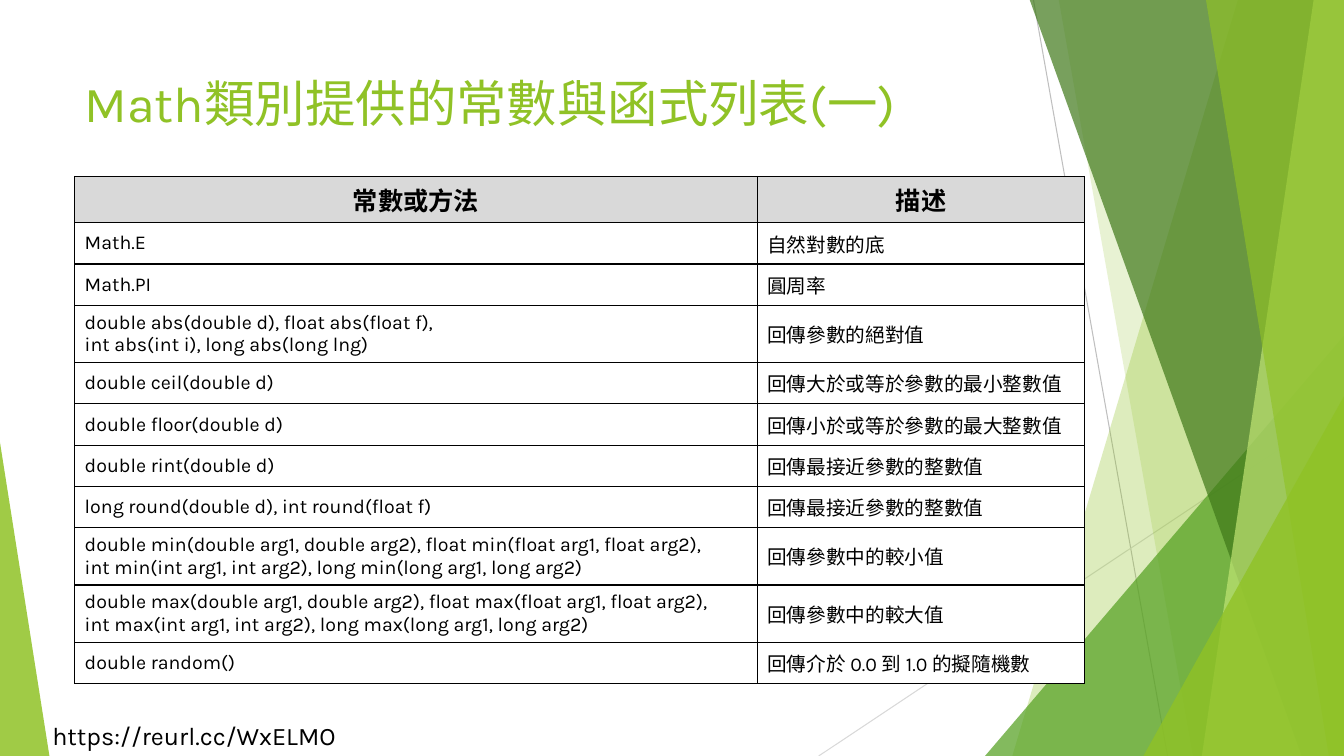
from dataclasses import dataclass

from lxml.etree import SubElement
from pptx import Presentation
from pptx.dml.color import RGBColor
from pptx.enum.shapes import MSO_CONNECTOR, MSO_SHAPE
from pptx.enum.text import MSO_ANCHOR as Anchor, PP_ALIGN as Align
from pptx.oxml.ns import qn
from pptx.util import Pt

PX = 9144  # EMU per px, 100 px to the inch
SLIDE_W, SLIDE_H = 1333, 750


@dataclass(frozen=True)
class Theme:
    font: str = "Karla"
    green: str = "90C226"
    leaf: str = "54A021"
    forest: str = "3F7819"
    lime: str = "C0E474"
    ink: str = "000000"
    paper: str = "FFFFFF"
    header: str = "D9D9D9"
    steep_line: str = "BFBFBF"
    flat_line: str = "D9D9D9"
    title_size: int = 36
    large_size: int = 18
    body_size: int = 14


THEME = Theme()


@dataclass(frozen=True)
class Ray:
    x1: int
    y1: int
    x2: int
    y2: int
    color: str


@dataclass(frozen=True)
class Pane:
    """Full-height band from a slanted left edge to the right slide edge."""
    top_x: int
    bottom_x: int
    color: str
    alpha: int


@dataclass(frozen=True)
class Wedge:
    """Right triangle standing on the bottom slide edge."""
    left: int
    top: int
    width: int
    apex: float
    color: str
    alpha: int


@dataclass(frozen=True)
class Label:
    left: int
    top: int
    width: int
    height: int
    text: str
    size: int
    color: str
    wrap: bool


RAYS = [
    Ray(1025, 0, 1158, SLIDE_H, THEME.steep_line),
    Ray(SLIDE_W, 403, 812, SLIDE_H, THEME.flat_line),
]
FACETS = [
    Pane(1228, 1004, THEME.green, 30),
    Pane(1050, 1183, THEME.green, 20),
    Wedge(977, 333, 356, 1, THEME.leaf, 72),
    Pane(1021, 1291, THEME.forest, 70),
    Pane(1303, 1192, THEME.lime, 70),
    Pane(1196, 1318, THEME.green, 65),
    Wedge(1134, 393, 199, 1, THEME.green, 80),
    Wedge(0, 439, 49, 0, THEME.green, 85),
]
LABELS = [
    Label(42, 710, 312, 40, "https://reurl.cc/WxELMO", THEME.large_size, THEME.ink, False),
    Label(74, 67, 940, 144, "Math類別提供的常數與函式列表(一)", THEME.title_size, THEME.green, True),
]
# \n starts a new paragraph, \v breaks the line inside one
ROWS = [
    ("常數或方法", "描述"),
    ("Math.E", "自然對數的底"),
    ("Math.PI", "圓周率"),
    ("double abs(double d), float abs(float f),\nint abs(int i), long abs(long lng)", "回傳參數的絕對值"),
    ("double ceil(double d)", "回傳大於或等於參數的最小整數值"),
    ("double floor(double d)", "回傳小於或等於參數的最大整數值"),
    ("double rint(double d)", "回傳最接近參數的整數值"),
    ("long round(double d), int round(float f)", "回傳最接近參數的整數值"),
    ("double min(double arg1, double arg2), float min(float arg1, float arg2),\v"
     "int min(int arg1, int arg2), long min(long arg1, long arg2)", "回傳參數中的較小值"),
    ("double max(double arg1, double arg2), float max(float arg1, float arg2),\v"
     "int max(int arg1, int arg2), long max(long arg1, long arg2)", "回傳參數中的較大值"),
    ("double random()", "回傳介於 0.0 到 1.0 的擬隨機數"),
]
TABLE_LEFT, TABLE_TOP = 74, 175
COLUMN_WIDTHS = (677, 325)
HEADER_H, ROW_H, TWO_LINE_H = 46, 41, 55


def rgb(color: str) -> RGBColor:
    return RGBColor.from_string(color)


def style_text(frame, size: int, color: str, bold: bool = False) -> None:
    for para in frame.paragraphs:
        for span in para.runs:
            span.font.name = THEME.font
            span.font.size = Pt(size)
            span.font.bold = bold
            span.font.color.rgb = rgb(color)


def draw_ray(page, ray: Ray) -> None:
    line = page.shapes.add_connector(
        MSO_CONNECTOR.STRAIGHT, ray.x1 * PX, ray.y1 * PX, ray.x2 * PX, ray.y2 * PX)
    line.line.color.rgb = rgb(ray.color)
    line.line.width = Pt(0.75)
    SubElement(line._element.spPr, qn("a:effectLst"))


def draw_facet(page, facet: Pane | Wedge) -> None:
    if isinstance(facet, Pane):
        builder = page.shapes.build_freeform(facet.top_x, -1, scale=PX)
        builder.add_line_segments(
            [(SLIDE_W, -1), (SLIDE_W, SLIDE_H), (facet.bottom_x, SLIDE_H)], close=True)
        shape = builder.convert_to_shape()
    else:
        shape = page.shapes.add_shape(
            MSO_SHAPE.ISOSCELES_TRIANGLE, facet.left * PX, facet.top * PX,
            facet.width * PX, (SLIDE_H - facet.top) * PX)
        shape.adjustments[0] = facet.apex
    shape.shadow.inherit = False
    shape.line.fill.background()
    shape.fill.solid()
    shape.fill.fore_color.rgb = rgb(facet.color)
    color = shape._element.spPr.find(qn("a:solidFill"))[0]
    SubElement(color, qn("a:alpha"), val=str(facet.alpha * 1000))


def draw_label(page, label: Label) -> None:
    box = page.shapes.add_textbox(
        label.left * PX, label.top * PX, label.width * PX, label.height * PX)
    box.text_frame.word_wrap = label.wrap
    box.text_frame.text = label.text
    style_text(box.text_frame, label.size, label.color)


def add_borders(cell) -> None:
    properties = cell._tc.get_or_add_tcPr()
    for side in ("lnL", "lnR", "lnT", "lnB"):
        border = SubElement(properties, qn(f"a:{side}"), w=str(Pt(1)))
        fill = SubElement(border, qn("a:solidFill"))
        SubElement(fill, qn("a:srgbClr"), val=THEME.ink)


def row_height(index: int) -> int:
    if index == 0:
        return HEADER_H
    return TWO_LINE_H if len(ROWS[index][0].splitlines()) > 1 else ROW_H


def draw_table(page) -> None:
    heights = [row_height(index) for index in range(len(ROWS))]
    table = page.shapes.add_table(
        len(ROWS), len(COLUMN_WIDTHS), TABLE_LEFT * PX, TABLE_TOP * PX,
        sum(COLUMN_WIDTHS) * PX, sum(heights) * PX).table
    table.horz_banding = False
    for column, width in zip(table.columns, COLUMN_WIDTHS):
        column.width = width * PX
    for index, (row, height, texts) in enumerate(zip(table.rows, heights, ROWS)):
        row.height = height * PX
        is_header = index == 0
        for cell, text in zip(row.cells, texts):
            add_borders(cell)
            cell.fill.solid()
            cell.fill.fore_color.rgb = rgb(THEME.header if is_header else THEME.paper)
            cell.vertical_anchor = Anchor.TOP if is_header else Anchor.MIDDLE
            cell.text_frame.text = text
            size = THEME.large_size if is_header else THEME.body_size
            style_text(cell.text_frame, size, THEME.ink, is_header)
            for para in cell.text_frame.paragraphs:
                para.alignment = Align.CENTER if is_header else Align.LEFT


def main() -> None:
    deck = Presentation()
    deck.slide_width, deck.slide_height = SLIDE_W * PX, SLIDE_H * PX
    page = deck.slides.add_slide(deck.slide_layouts[6])
    for ray in RAYS:
        draw_ray(page, ray)
    for facet in FACETS:
        draw_facet(page, facet)
    for label in LABELS:
        draw_label(page, label)
    draw_table(page)
    deck.save("out.pptx")


if __name__ == "__main__":
    main()
